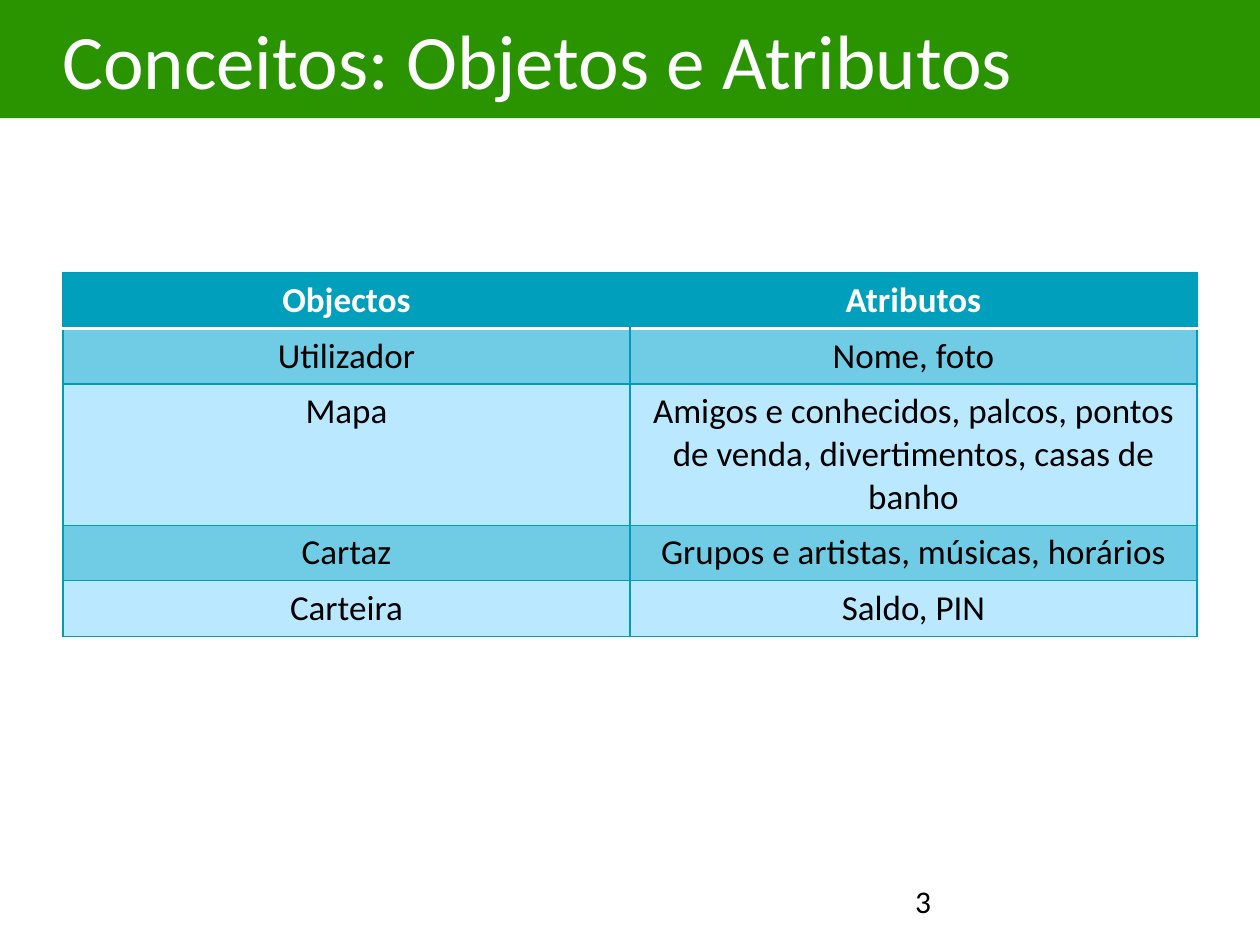
import pptx
import pptx.util
import pptx.dml.color
import pptx.enum.text
import pptx.oxml
import pptx.oxml.ns
from pptx.util import Cm

RGBColor = pptx.dml.color.RGBColor
GREEN = RGBColor(0x2A, 0x93, 0x00)
TEAL = RGBColor(0x00, 0xA0, 0xBD)
BORDER_TEAL = RGBColor(0x00, 0x9C, 0xB9)
BAND_DARK = RGBColor(0x70, 0xCC, 0xE4)
BAND_LIGHT = RGBColor(0xBA, 0xE8, 0xFF)
WHITE = RGBColor(0xFF, 0xFF, 0xFF)
BLACK = RGBColor(0x00, 0x00, 0x00)

ROWS = [
    ("Objectos", "Atributos"),
    ("Utilizador", "Nome, foto"),
    ("Mapa", "Amigos e conhecidos, palcos, pontos de venda, "
             "divertimentos, casas de banho"),
    ("Cartaz", "Grupos e artistas, músicas, horários"),
    ("Carteira", "Saldo, PIN"),
]
ROW_HEIGHT = Cm(1.12)
TALL_ROW_HEIGHT = Cm(2.84)


def format_text(paragraph, size, color, align, bold=False):
    paragraph.alignment = align
    paragraph.font.name = "Calibri"
    paragraph.font.size = pptx.util.Pt(size)
    paragraph.font.bold = bold
    paragraph.font.color.rgb = color


def add_title(slide, text):
    title = slide.shapes.title
    title.left, title.top, title.width, title.height = 0, 0, Cm(25.4), Cm(2.38)
    title.fill.solid()
    title.fill.fore_color.rgb = GREEN
    frame = title.text_frame
    frame.text = text
    frame.auto_size = pptx.enum.text.MSO_AUTO_SIZE.NONE
    frame.vertical_anchor = pptx.enum.text.MSO_ANCHOR.MIDDLE
    frame.margin_left = Cm(1.25)
    format_text(frame.paragraphs[0], 44, WHITE, pptx.enum.text.PP_ALIGN.LEFT)


def set_borders(cell, borders):
    properties = cell._tc.get_or_add_tcPr()
    for position, side in enumerate("LRTB"):
        color, points = borders[side]
        paint = (f'<a:solidFill><a:srgbClr val="{color}"/></a:solidFill>'
                 if color is not None else "<a:noFill/>")
        line = pptx.oxml.parse_xml(
            f'<a:ln{side} {pptx.oxml.ns.nsdecls("a")} '
            f'w="{pptx.util.Pt(points)}">{paint}</a:ln{side}>')
        properties.insert(position, line)


def cell_borders(row, column):
    borders = dict.fromkeys("LRTB", (BORDER_TEAL, 0.75))
    if row == 0:
        borders["R" if column == 0 else "L"] = (None, 0.75)
        borders["B"] = (WHITE, 2)
    elif row == 1:
        borders["T"] = (WHITE, 2)
    return borders


def add_objects_table(slide):
    height = ROW_HEIGHT * (len(ROWS) - 1) + TALL_ROW_HEIGHT
    table = slide.shapes.add_table(
        len(ROWS), 2, Cm(1.27), Cm(5.5), Cm(22.86), height).table
    for row, texts in enumerate(ROWS):
        header = row == 0
        table.rows[row].height = TALL_ROW_HEIGHT if row == 2 else ROW_HEIGHT
        fill = TEAL if header else BAND_DARK if row % 2 else BAND_LIGHT
        for column, text in enumerate(texts):
            cell = table.cell(row, column)
            cell.text = text
            cell.fill.solid()
            cell.fill.fore_color.rgb = fill
            format_text(cell.text_frame.paragraphs[0], 20,
                        WHITE if header else BLACK,
                        pptx.enum.text.PP_ALIGN.CENTER, header)
            set_borders(cell, cell_borders(row, column))


def add_page_number(slide, number):
    frame = slide.shapes.add_textbox(
        Cm(18.2), Cm(17.65), Cm(5.93), Cm(1.02)).text_frame
    frame.word_wrap = True
    frame.text = number
    format_text(frame.paragraphs[0], 18, BLACK, pptx.enum.text.PP_ALIGN.LEFT)


def main():
    presentation = pptx.Presentation()
    presentation.slide_width = Cm(25.4)
    presentation.slide_height = Cm(19.05)
    slide = presentation.slides.add_slide(presentation.slide_layouts[5])
    add_title(slide, "Conceitos: Objetos e Atributos")
    add_objects_table(slide)
    add_page_number(slide, "3")
    presentation.save("out.pptx")


if __name__ == "__main__":
    main()
